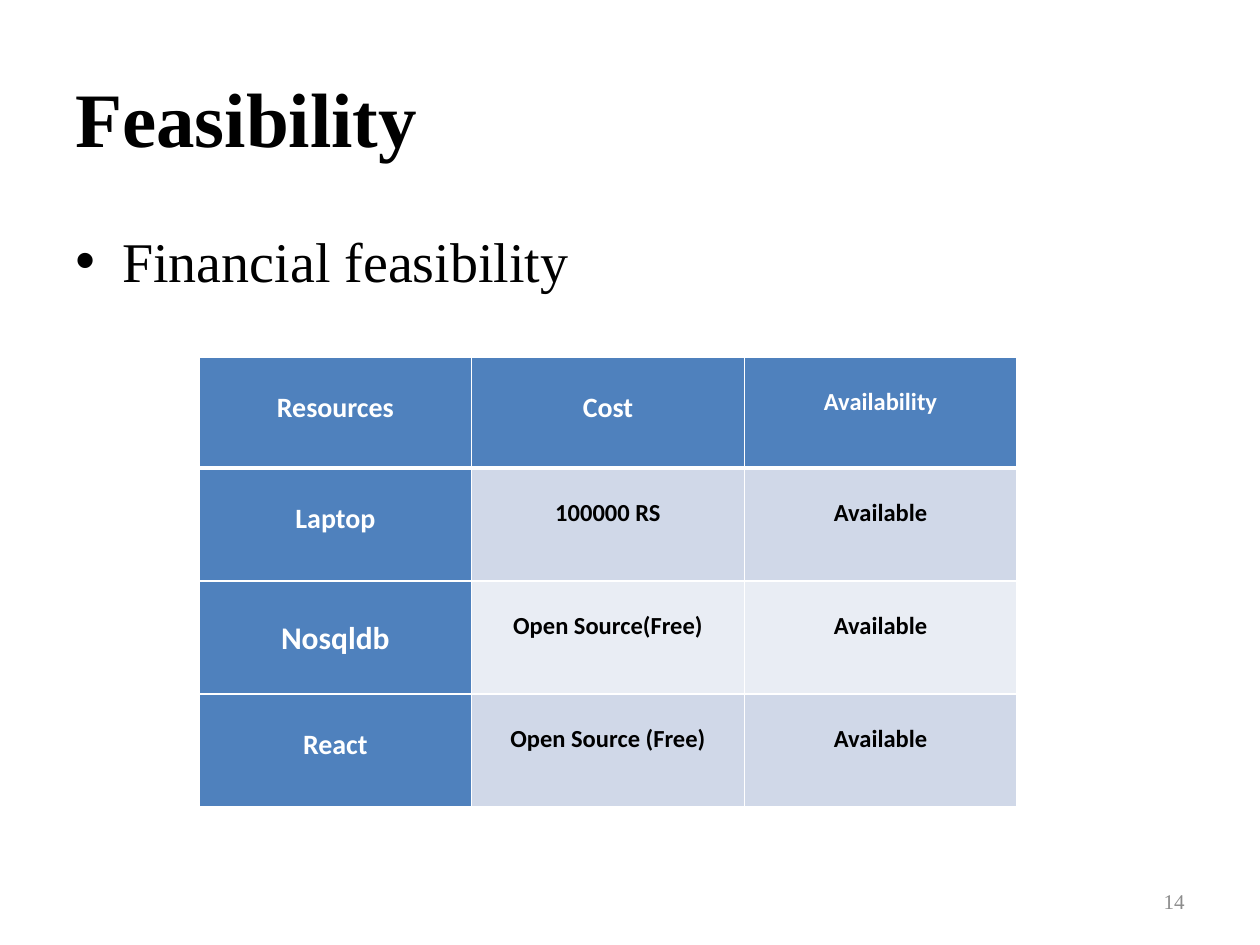
from lxml.etree import SubElement as Sub
from pptx import Presentation
from pptx.dml.color import RGBColor as Rgb
from pptx.enum.text import MSO_ANCHOR as Anchor, PP_ALIGN as Align
from pptx.oxml.ns import qn
from pptx.util import Pt

DPI = 126
HUES = {"ink": "000000", "white": "FFFFFF", "gray": "8C8C8C",
        "head": "4F81BD", "odd": "D0D8E8", "even": "E9EDF4"}
SERIF, SANS = "Times New Roman", "Calibri"
ROWS = [
    ("Resources", "Cost", "Availability"),
    ("Laptop", "100000 RS", "Available"),
    ("Nosqldb", "Open Source(Free)", "Available"),
    ("React", "Open Source (Free)", "Available"),
]
SIZES = {"Resources": 16, "Cost": 16, "Laptop": 16, "Nosqldb": 18, "React": 16}


def px(num):
    return round(num * 914400 / DPI)


def hue(name):
    return Rgb.from_string(HUES[name])


def assign(obj, form):
    for key, val in form.items():
        setattr(obj, key, val)


def write(frame, text, ink, font, para):
    """Fill the frame's first paragraph with one formatted run."""
    line = frame.paragraphs[0]
    assign(line, para)
    run = line.add_run()
    run.text = text
    assign(run.font, font)
    run.font.color.rgb = hue(ink)
    return line


def add_text(slide, area, text, ink, font, para, anchor=Anchor.TOP):
    frame = slide.shapes.add_textbox(*map(px, area)).text_frame
    assign(frame, {"word_wrap": True, "vertical_anchor": anchor})
    return write(frame, text, ink, font, para)


def add_bullet(line, gap):
    props = line._p.get_or_add_pPr()
    props.set("marL", str(px(gap)))
    props.set("indent", str(-px(gap)))
    Sub(props, qn("a:buFont"), typeface="Arial")
    Sub(props, qn("a:buChar"), char="•")


def add_edge(cell, side, width):
    edge = Sub(cell._tc.get_or_add_tcPr(), qn(f"a:ln{side}"), w=str(Pt(width)))
    fill = Sub(edge, qn("a:solidFill"))
    Sub(fill, qn("a:srgbClr"), val=HUES["white"])


def style_cell(cell, row, col, text):
    head = row == 0 or col == 0
    assign(cell, {"margin_left": px(9), "margin_right": px(9),
                  "margin_top": 0, "margin_bottom": 0})
    font = {"name": SANS, "size": Pt(SIZES.get(text, 14)), "bold": True}
    write(cell.text_frame, text, "white" if head else "ink", font,
          {"alignment": Align.CENTER, "line_spacing": 2.0})
    # Edges must come before the fill in the cell's properties.
    wide = {"T": 3 if row == 1 else 1, "B": 3 if row == 0 else 1}
    for side in "LRTB":
        add_edge(cell, side, wide.get(side, 1))
    cell.fill.solid()
    cell.fill.fore_color.rgb = hue("head" if head else "odd" if row % 2 else "even")


def add_grid(slide, area):
    grid = slide.shapes.add_table(len(ROWS), len(ROWS[0]), *map(px, area)).table
    for row, texts in enumerate(ROWS):
        grid.rows[row].height = px(113 if row else 111)
        for col, text in enumerate(texts):
            style_cell(grid.cell(row, col), row, col, text)


def main():
    deck = Presentation()
    assign(deck, {"slide_width": px(1260), "slide_height": px(945)})
    slide = deck.slides.add_slide(deck.slide_layouts[6])
    add_text(slide, (63, 38, 1134, 157), "Feasibility", "ink",
             {"name": SERIF, "size": Pt(44), "bold": True}, {}, Anchor.MIDDLE)
    item = add_text(slide, (63, 220, 1134, 624), "Financial feasibility", "ink",
                    {"name": SERIF, "size": Pt(32)}, {"space_before": Pt(6.4)})
    add_bullet(item, 47)
    add_text(slide, (903, 876, 294, 50), "14", "gray",
             {"name": SERIF, "size": Pt(12)}, {"alignment": Align.RIGHT}, Anchor.MIDDLE)
    add_grid(slide, (199, 357, 818, 450))
    deck.save("out.pptx")


if __name__ == "__main__":
    main()
